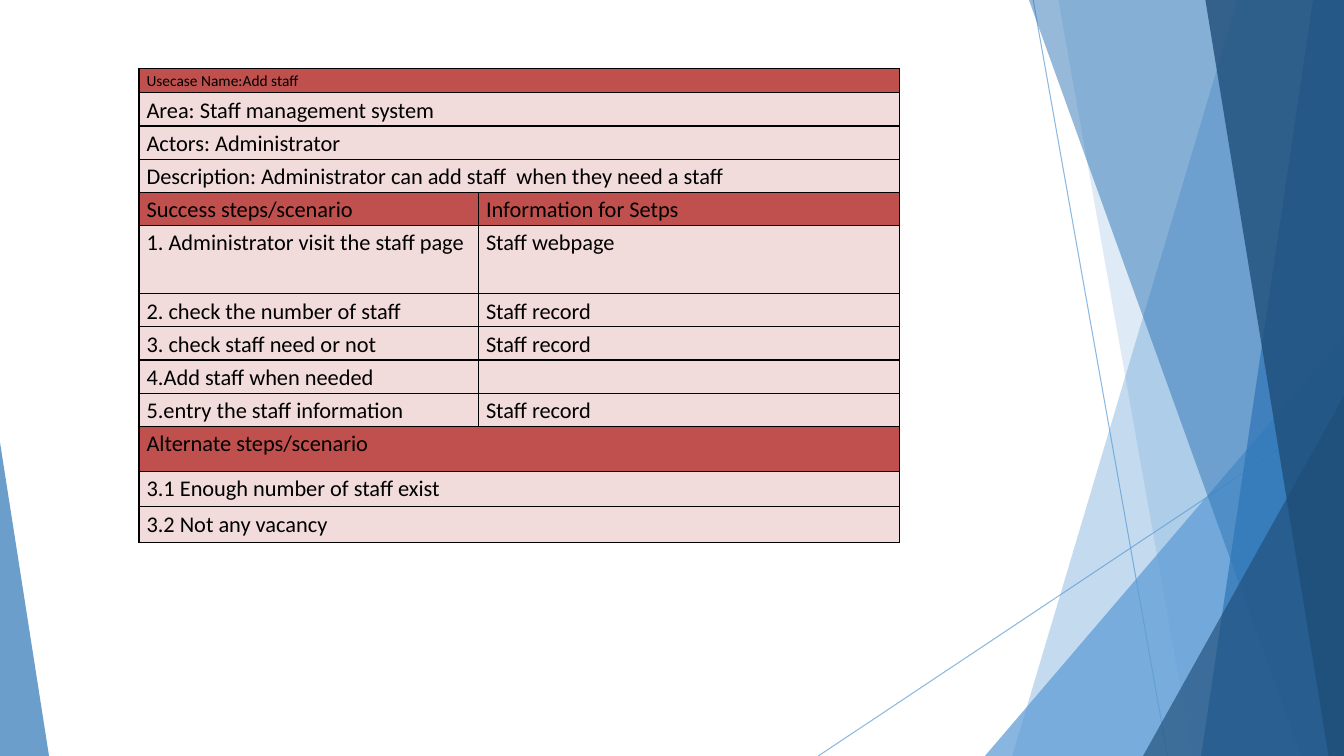
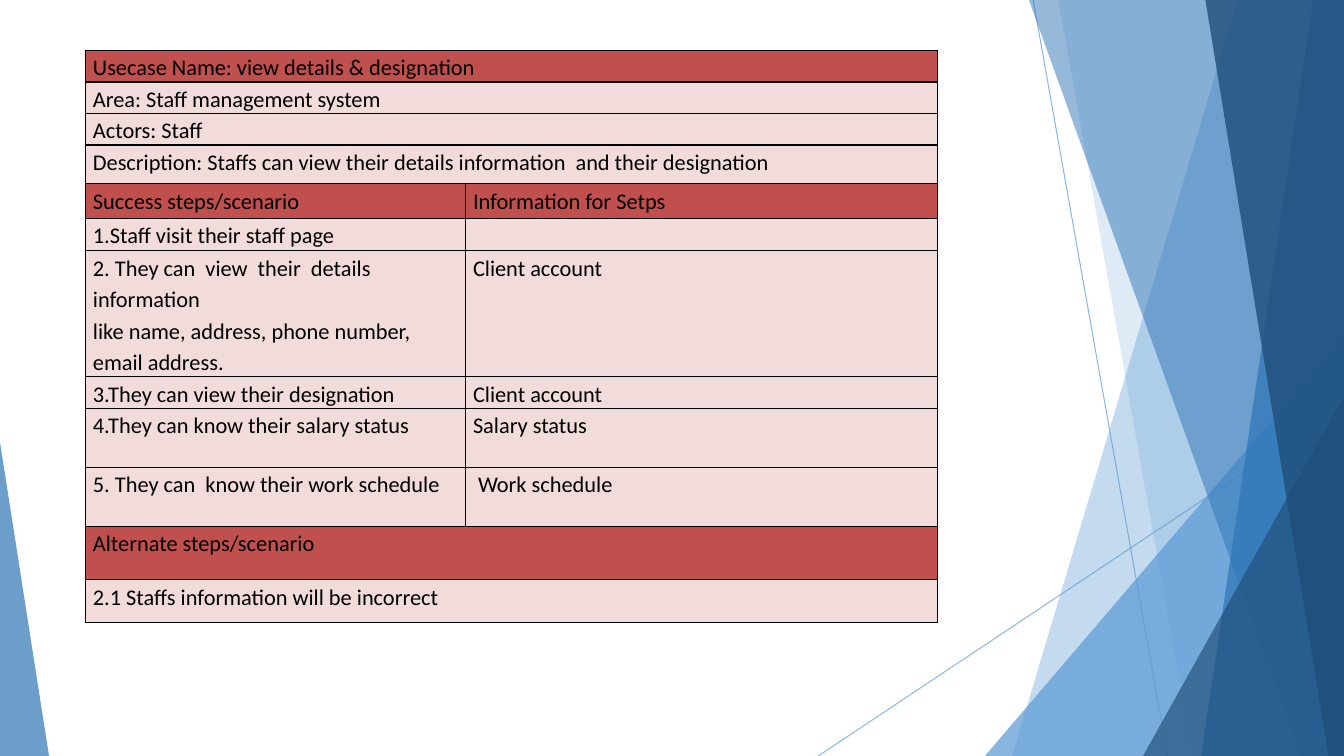
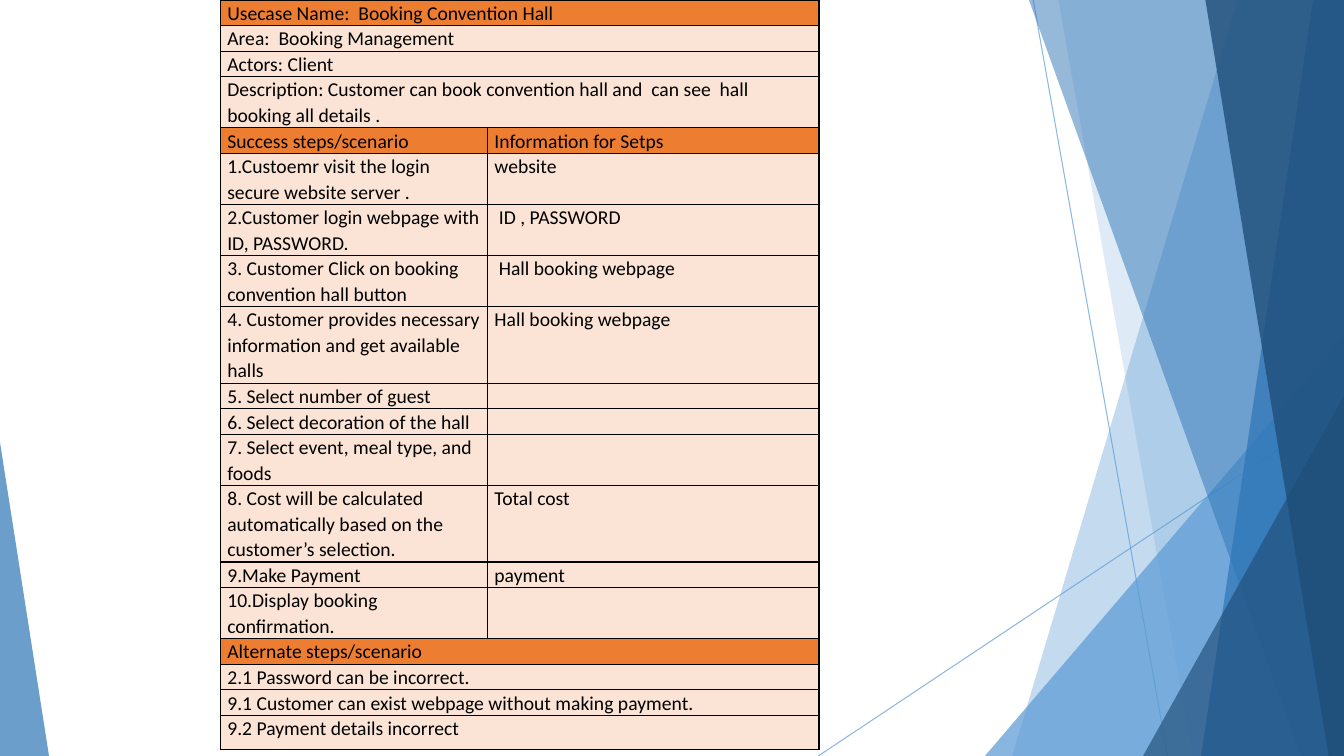
from dataclasses import dataclass

from lxml import etree
from pptx import Presentation
from pptx.dml.color import RGBColor
from pptx.enum.shapes import MSO_CONNECTOR, MSO_SHAPE
from pptx.oxml.ns import qn
from pptx.util import Pt

STRAIGHT = MSO_CONNECTOR.STRAIGHT
TRIANGLE = MSO_SHAPE.ISOSCELES_TRIANGLE
WIDTH, HEIGHT = 960, 540


@dataclass(frozen=True)
class Theme:
    font: str = "Calibri"
    text: str = "000000"
    sky: str = "5B9BD5"
    blue: str = "2E75B6"
    navy: str = "1F4E79"
    red: tuple = ("C0504D", "F2DBDB")
    orange: tuple = ("ED7D31", "FBE4D5")
    small: int = 11
    medium: int = 14
    large: int = 16
    hairline: float = 0.75
    border: float = 1


class Deck:
    def __init__(self, theme):
        self.theme = theme
        self.prs = Presentation()
        self.prs.slide_width, self.prs.slide_height = Pt(WIDTH), Pt(HEIGHT)
        self.slide = None

    def add_slide(self):
        self.slide = self.prs.slides.add_slide(self.prs.slide_layouts[6])
        self.backdrop()

    def set_alpha(self, sp, percent):
        for color in sp._element.spPr.iter(qn("a:srgbClr")):
            etree.SubElement(color, qn("a:alpha"), val=str(percent * 1000))

    def paint(self, sp, color, alpha):
        sp.shadow.inherit = False
        sp.fill.solid()
        sp.fill.fore_color.rgb = RGBColor.from_string(color)
        sp.line.fill.background()
        self.set_alpha(sp, alpha)

    def line(self, x1, y1, x2, y2):
        sp = self.slide.shapes.add_connector(
            STRAIGHT, Pt(x1), Pt(y1), Pt(x2), Pt(y2))
        sp.line.width = Pt(self.theme.hairline)
        sp.line.color.rgb = RGBColor.from_string(self.theme.sky)
        self.set_alpha(sp, 70)
        etree.SubElement(sp._element.spPr, qn("a:effectLst"))

    def band(self, top_x, bottom_x, color, alpha):
        builder = self.slide.shapes.build_freeform(Pt(top_x), 0, scale=1.0)
        builder.add_line_segments([
            (Pt(WIDTH), 0), (Pt(WIDTH), Pt(HEIGHT)), (Pt(bottom_x), Pt(HEIGHT))])
        self.paint(builder.convert_to_shape(), color, alpha)

    def corner(self, x, width, height, apex, color, alpha):
        sp = self.slide.shapes.add_shape(
            TRIANGLE, Pt(x), Pt(HEIGHT - height), Pt(width), Pt(height))
        sp.adjustments[0] = apex
        self.paint(sp, color, alpha)

    def backdrop(self):
        t = self.theme
        self.line(738, 0, 834, HEIGHT)
        self.line(WIDTH, 290, 584.5, HEIGHT)
        self.band(884, 723, t.sky, 36)
        self.band(756, 852, t.sky, 20)
        self.corner(703.5, 256.5, 300, 1, t.sky, 72)
        self.band(735, 929.5, t.blue, 50)
        self.band(938, 858, t.blue, 70)
        self.band(861, 949, t.navy, 80)
        self.corner(816.5, 143.5, 257, 1, t.navy, 66)
        self.corner(0, 35, 224, 0, t.blue, 70)

    def cell(self, cell, text, fill, size, spacing, margin):
        cell.margin_left = cell.margin_right = Pt(margin)
        cell.margin_top = cell.margin_bottom = 0
        cell.text = text
        for p in cell.text_frame.paragraphs:
            p.line_spacing = spacing
            p.font.name = self.theme.font
            p.font.size = Pt(size)
            p.font.color.rgb = RGBColor.from_string(self.theme.text)
            if not text:
                etree.SubElement(p._p, qn("a:endParaRPr"), sz=str(size * 100))
        cell.fill.solid()
        cell.fill.fore_color.rgb = RGBColor.from_string(fill)
        tcPr = cell._tc.get_or_add_tcPr()
        for i, side in enumerate(("lnL", "lnR", "lnT", "lnB")):
            ln = etree.Element(qn(f"a:{side}"), w=str(Pt(self.theme.border)))
            solid = etree.SubElement(ln, qn("a:solidFill"))
            etree.SubElement(solid, qn("a:srgbClr"), val=self.theme.text)
            tcPr.insert(i, ln)

    def use_case(self, left, top, widths, colors, size, spacing, rows,
                 title_size=None, margin=5.4):
        head, body = colors
        heights = [row[0] for row in rows]
        tbl = self.slide.shapes.add_table(
            len(rows), 2, Pt(left), Pt(top), Pt(sum(widths)),
            Pt(sum(heights))).table
        tbl.first_row = tbl.horz_banding = False
        for col, width in zip(tbl.columns, widths):
            col.width = Pt(width)
        for r, (height, *texts) in enumerate(rows):
            tbl.rows[r].height = Pt(height)
            is_head = texts[0].startswith(("Usecase", "Success", "Alternate"))
            row_size = title_size if r == 0 and title_size else size
            if len(texts) == 1:
                tbl.cell(r, 0).merge(tbl.cell(r, 1))
                texts.append("")
            for c, text in enumerate(texts):
                self.cell(tbl.cell(r, c), text, head if is_head else body,
                          row_size, spacing, margin)


STEPS = ("Success steps/scenario", "Information for Setps")
ALTERNATE = "Alternate steps/scenario"
LINE = 18.25

ADD_STAFF = [
    (17.3, "Usecase Name:Add staff"),
    (23.7, "Area: Staff management system"),
    (23.7, "Actors: Administrator"),
    (23.7, "Description: Administrator can add staff  when they need a staff"),
    (23.7, *STEPS),
    (48.7, "1. Administrator visit the staff page", "Staff webpage"),
    (23.7, "2. check the number of staff", "Staff record"),
    (23.7, "3. check staff need or not", "Staff record"),
    (23.7, "4.Add staff when needed", ""),
    (23.7, "5.entry the staff information", "Staff record"),
    (32, ALTERNATE),
    (25.5, "3.1 Enough number of staff exist"),
    (25.5, "3.2 Not any vacancy"),
]

VIEW_DETAILS = [
    (22.4, "Usecase Name: view details & designation"),
    (22.4, "Area: Staff management system"),
    (22.4, "Actors: Staff"),
    (27.8, "Description: Staffs can view their details information"
           "  and their designation"),
    (24.5, *STEPS),
    (23.4, "1.Staff visit their staff page", ""),
    (89.6, "2. They can  view  their  details information\n"
           "like name, address, phone number, email address.",
     "Client account"),
    (22.4, "3.They can view their designation", "Client account"),
    (42.2, "4.They can know their salary status", "Salary status"),
    (42.2, "5. They can  know their work schedule", " Work schedule"),
    (38.2, ALTERNATE),
    (30.2, "2.1 Staffs information will be incorrect"),
]

BOOK_HALL = [
    (LINE, "Usecase Name:  Booking Convention Hall"),
    (LINE, "Area:  Booking Management"),
    (LINE, "Actors: Client"),
    (2 * LINE, "Description: Customer can book convention hall and  can see"
               "  hall booking all details ."),
    (LINE, *STEPS),
    (2 * LINE, "1.Custoemr visit the login  secure website server .",
     "website"),
    (2 * LINE, "2.Customer login webpage with ID, PASSWORD.",
     " ID , PASSWORD"),
    (2 * LINE, "3. Customer Click on booking convention hall button",
     " Hall booking webpage"),
    (3 * LINE, "4. Customer provides necessary information and get available"
               " halls", "Hall booking webpage"),
    (LINE, "5. Select number of guest", ""),
    (LINE, "6. Select decoration of the hall", ""),
    (2 * LINE, "7. Select event, meal type, and foods", ""),
    (3 * LINE, "8. Cost will be calculated automatically based on the"
               " customer’s selection.", "Total cost"),
    (LINE, "9.Make Payment", "payment"),
    (2 * LINE, "10.Display booking confirmation.", ""),
    (LINE, ALTERNATE),
    (LINE, "2.1 Password can be incorrect."),
    (LINE, "9.1 Customer can exist webpage without making payment."),
    (24.5, "9.2 Payment details incorrect"),
]


def main():
    theme = Theme()
    deck = Deck(theme)
    deck.add_slide()
    deck.use_case(99.3, 49, (242.5, 301), theme.red, theme.large, 1.15,
                  ADD_STAFF, title_size=theme.small)
    deck.add_slide()
    deck.use_case(61, 36, (271.5, 337), theme.red, theme.large, 1.15,
                  VIEW_DETAILS)
    deck.add_slide()
    deck.use_case(157.5, 0, (190.8, 236.8), theme.orange, theme.medium, 1.07,
                  BOOK_HALL, margin=4.9)
    deck.prs.save("out.pptx")


if __name__ == "__main__":
    main()
